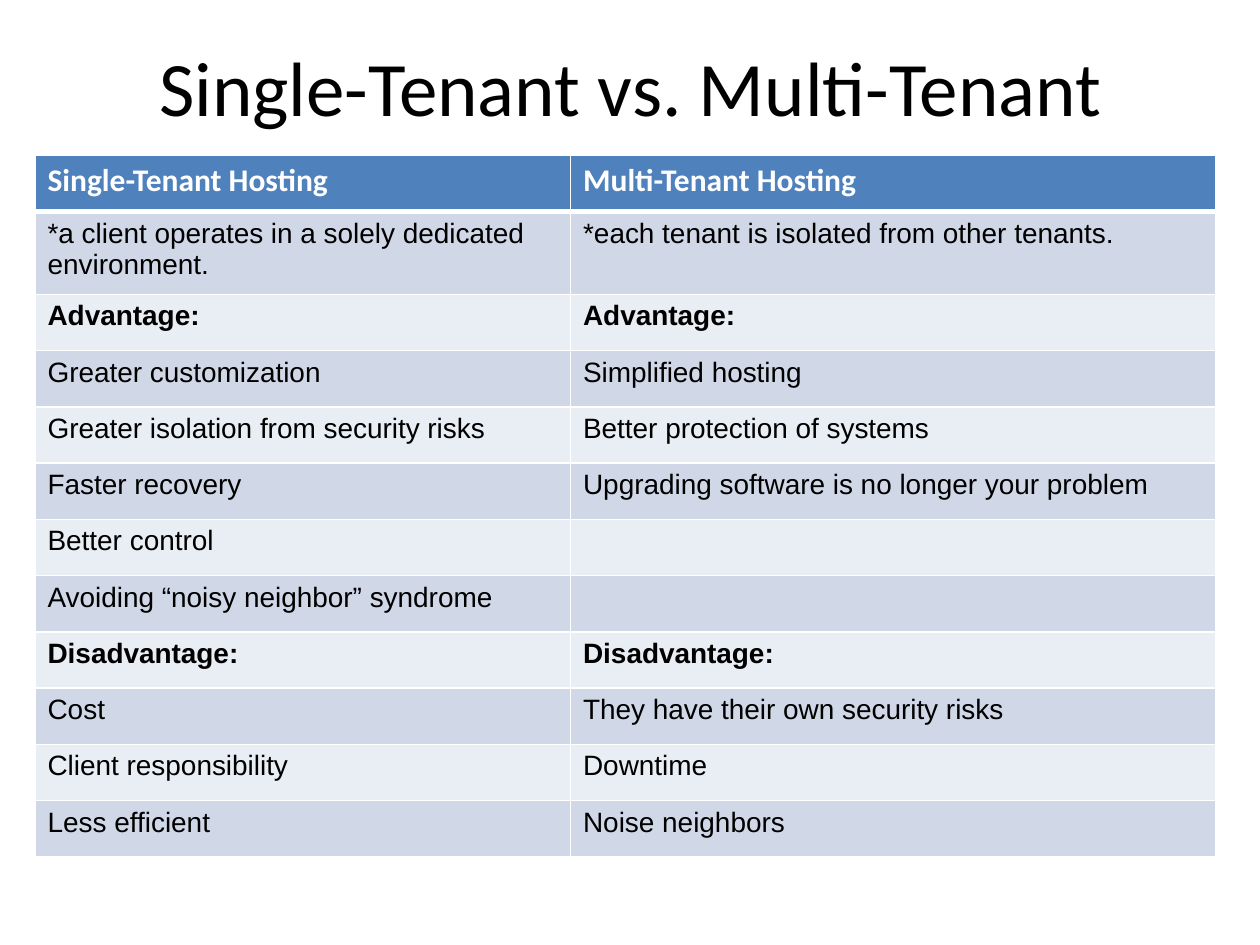
from lxml.etree import SubElement
from pptx import Presentation
from pptx.dml.color import RGBColor
from pptx.enum.text import MSO_ANCHOR, PP_ALIGN
from pptx.oxml.ns import qn
from pptx.util import Pt

BLACK = RGBColor(0x00, 0x00, 0x00)
WHITE = RGBColor(0xFF, 0xFF, 0xFF)
HEADER_BLUE = RGBColor(0x4F, 0x81, 0xBD)
BAND_DARK = RGBColor(0xD0, 0xD8, 0xE8)
BAND_LIGHT = RGBColor(0xE9, 0xED, 0xF4)

COLUMN_WIDTHS = (306, 368.64)
ROW_HEIGHT = 32.16
DEFINITION_HEIGHT = 47.3
SUBHEADINGS = ("Advantage:", "Disadvantage:")
HOSTING_ROWS = [
    ("Single-Tenant Hosting", "Multi-Tenant Hosting"),
    ("*a client operates in a solely dedicated environment.",
     "*each tenant is isolated from other tenants."),
    ("Advantage:", "Advantage:"),
    ("Greater customization", "Simplified hosting"),
    ("Greater isolation from security risks", "Better protection of systems"),
    ("Faster recovery", "Upgrading software is no longer your problem"),
    ("Better control", ""),
    ("Avoiding “noisy neighbor” syndrome", ""),
    ("Disadvantage:", "Disadvantage:"),
    ("Cost", "They have their own security risks"),
    ("Client responsibility", "Downtime"),
    ("Less efficient", "Noise neighbors"),
]


def style_font(font, name, size, color, bold=False):
    """Set the face, size, colour and weight of a font."""
    font.name, font.size, font.bold = name, Pt(size), bold
    font.color.rgb = color


def add_cell_borders(cell, top, bottom):
    """Draw white borders, with the given top and bottom widths in points."""
    properties = cell._tc.get_or_add_tcPr()
    for side, width in (("L", 1), ("R", 1), ("T", top), ("B", bottom)):
        border = SubElement(properties, qn(f"a:ln{side}"), w=str(Pt(width)))
        fill = SubElement(border, qn("a:solidFill"))
        SubElement(fill, qn("a:srgbClr"), val=str(WHITE))


def add_title(slide, left, top, width, height):
    """Place the centred slide title."""
    title = slide.shapes.add_textbox(Pt(left), Pt(top), Pt(width), Pt(height))
    frame = title.text_frame
    frame.word_wrap = True
    frame.vertical_anchor = MSO_ANCHOR.MIDDLE
    frame.text = "Single-Tenant vs. Multi-Tenant"
    heading = frame.paragraphs[0]
    heading.alignment = PP_ALIGN.CENTER
    style_font(heading.runs[0].font, "Calibri", 44, BLACK)


def fill_hosting_cell(cell, row_index, wording):
    """Write and colour one cell according to its row."""
    is_header = row_index == 0
    add_cell_borders(cell, 3 if row_index == 1 else 1, 3 if is_header else 1)
    cell.fill.solid()
    band = BAND_DARK if row_index % 2 else BAND_LIGHT
    cell.fill.fore_color.rgb = HEADER_BLUE if is_header else band
    cell.text_frame.text = wording
    for run in cell.text_frame.paragraphs[0].runs:
        if is_header:
            style_font(run.font, "Calibri", 18, WHITE, True)
        else:
            style_font(run.font, "Arial", 16, BLACK, wording in SUBHEADINGS)


def add_hosting_table(slide, left, top, width, height):
    """Place the table that compares the two kinds of hosting."""
    table = slide.shapes.add_table(
        len(HOSTING_ROWS), len(COLUMN_WIDTHS),
        Pt(left), Pt(top), Pt(width), Pt(height)).table
    for column, column_width in zip(table.columns, COLUMN_WIDTHS):
        column.width = Pt(column_width)
    for row_index, wordings in enumerate(HOSTING_ROWS):
        row = table.rows[row_index]
        row.height = Pt(DEFINITION_HEIGHT if row_index == 1 else ROW_HEIGHT)
        for cell, wording in zip(row.cells, wordings):
            fill_hosting_cell(cell, row_index, wording)


def main():
    """Build and save the slide."""
    presentation = Presentation()
    presentation.slide_width, presentation.slide_height = Pt(720), Pt(540)
    slide = presentation.slides.add_slide(presentation.slide_layouts[6])
    add_title(slide, 36.5, 15, 648, 68)
    table_height = DEFINITION_HEIGHT + ROW_HEIGHT * (len(HOSTING_ROWS) - 1)
    add_hosting_table(slide, 20, 88.8, sum(COLUMN_WIDTHS), table_height)
    presentation.save("out.pptx")


if __name__ == "__main__":
    main()
